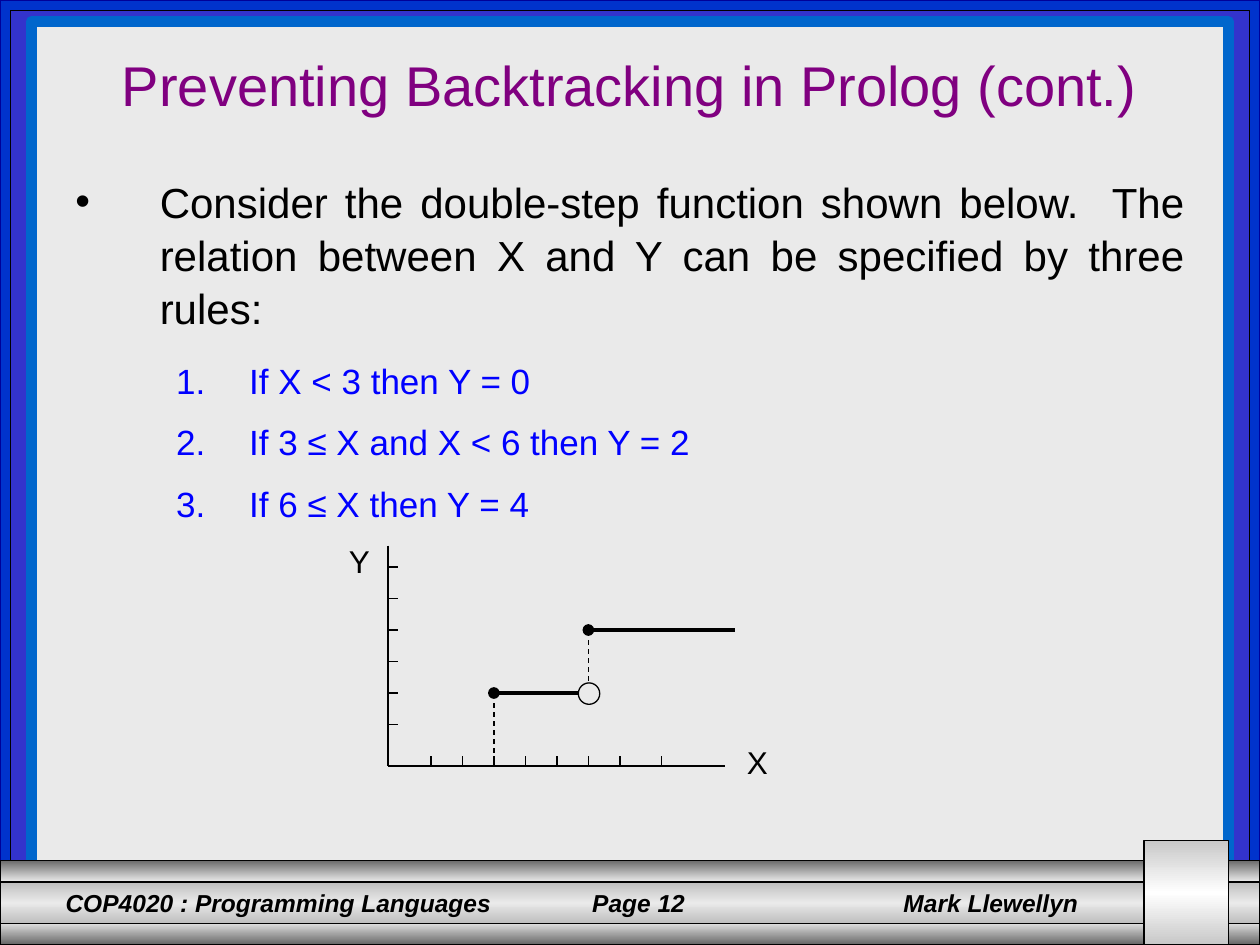
from lxml import etree
from pptx import Presentation
from pptx.dml.color import RGBColor
from pptx.enum.dml import MSO_LINE
from pptx.enum.shapes import MSO_CONNECTOR, MSO_SHAPE
from pptx.enum.text import MSO_ANCHOR, PP_ALIGN
from pptx.oxml.ns import qn
from pptx.util import Inches, Pt

RECT, OVAL = MSO_SHAPE.RECTANGLE, MSO_SHAPE.OVAL
STRAIGHT, DASH = MSO_CONNECTOR.STRAIGHT, MSO_LINE.DASH
LEFT, CENTER, JUSTIFY = PP_ALIGN.LEFT, PP_ALIGN.CENTER, PP_ALIGN.JUSTIFY
TOP, MIDDLE = MSO_ANCHOR.TOP, MSO_ANCHOR.MIDDLE
FONT = "Arial"
BLACK, BLUE, PURPLE = "000000", "0000FF", "800080"


def color(hex_value):
    return RGBColor.from_string(hex_value)


def child(parent, tag, **attributes):
    return etree.SubElement(parent, qn(tag), attributes)


def add_shape(slide, kind, box, fill=None, line=BLACK, width=0.75):
    """fill is None, one colour, or a list of colours running downwards."""
    shape = slide.shapes.add_shape(kind, *map(Inches, box))
    shape.shadow.inherit = False
    shape.line.color.rgb = color(line)
    shape.line.width = Pt(width)
    if fill is None:
        shape.fill.background()
    elif isinstance(fill, str):
        shape.fill.solid()
        shape.fill.fore_color.rgb = color(fill)
    else:
        shape.fill.gradient()
        shape.fill.gradient_angle = 270
        stops = shape.element.spPr.find(qn("a:gradFill")).find(qn("a:gsLst"))
        for stop in list(stops):
            stops.remove(stop)
        for i, shade in enumerate(fill):
            stop = child(stops, "a:gs", pos=str(100000 * i // (len(fill) - 1)))
            child(stop, "a:srgbClr", val=shade)
    return shape


def add_line(slide, x1, y1, x2, y2, width=0.75, dashed=False, dot=False):
    line = slide.shapes.add_connector(STRAIGHT, *map(Inches, (x1, y1, x2, y2)))
    line.line.color.rgb = color(BLACK)
    line.line.width = Pt(width)
    if dashed:
        line.line.dash_style = DASH
    if dot:
        child(line.line._get_or_add_ln(), "a:headEnd", type="oval")
    child(line.element.spPr, "a:effectLst")


def add_text_frame(slide, box, anchor=TOP, wrap=True):
    frame = slide.shapes.add_textbox(*map(Inches, box)).text_frame
    frame.word_wrap = wrap
    frame.vertical_anchor = anchor
    return frame


def write(paragraph, text, size, hex_value, align=CENTER, bold_italic=False):
    paragraph.alignment = align
    run = paragraph.add_run()
    run.text = text
    run.font.name = FONT
    run.font.size = Pt(size)
    run.font.color.rgb = color(hex_value)
    if bold_italic:
        run.font.bold = run.font.italic = True


def set_bullet(paragraph, margin, hanging, hex_value, number_style=None):
    properties = paragraph._p.get_or_add_pPr()
    properties.set("marL", str(Inches(margin)))
    properties.set("indent", str(-Inches(hanging)))
    child(child(properties, "a:buClr"), "a:srgbClr", val=hex_value)
    child(properties, "a:buFont", typeface=FONT)
    if number_style:
        child(properties, "a:buAutoNum", type=number_style)
    else:
        child(properties, "a:buChar", char="•")


def add_border(slide, box):
    left, top, width, height = box
    add_shape(slide, RECT, box, "0033CC", "000099")
    for side, above, outline, weight in ((0.08, 0.08, BLACK, 0.5),
                                         (0.25, 0.17, "0066CC", 6)):
        inner = (left + side, top + above, width - 2 * side, height - above)
        add_shape(slide, RECT, inner,
                  "3333CC" if outline == BLACK else "EAEAEA", outline, weight)


def add_footer(slide, box):
    left, top, width, height = box
    # Metal bands
    add_shape(slide, RECT, (left, top + 0.5, width, 0.17), ["DDDDDD", "656565"])
    add_shape(slide, RECT, (left, top, width, 0.17), ["6B6B6B", "EAEAEA"])
    add_shape(slide, RECT, (left, top + 0.17, width, 0.33),
              ["BDBDBD", "EAEAEA", "BDBDBD"])

    # Course, page and author on tab stops
    frame = add_text_frame(slide, (left, top + 0.17, 9.08, 0.34))
    frame.margin_left = Inches(0.52)
    paragraph = frame.paragraphs[0]
    tabs = child(paragraph._p.get_or_add_pPr(), "a:tabLst")
    for position in (4.18, 6.65):
        child(tabs, "a:tab", pos=str(Inches(position)), algn="l")
    write(paragraph, "COP4020 : Programming Languages\tPage 12\tMark Llewellyn",
          14, BLACK, LEFT, bold_italic=True)

    # Plate at the right
    add_shape(slide, RECT, (left + 9.08, top - 0.16, 0.67, height + 0.16),
              ["C8C8C8", "FFFFFF", "C8C8C8"])


def add_title(slide, box):
    paragraph = add_text_frame(slide, box).paragraphs[0]
    paragraph.line_spacing = 1.1
    write(paragraph, "Preventing Backtracking in Prolog (cont.)", 32, PURPLE)


def add_rules(slide, box):
    frame = add_text_frame(slide, box)
    intro = frame.paragraphs[0]
    set_bullet(intro, 0.67, 0.67, BLACK)
    intro.line_spacing = 1.05
    intro.space_after = Pt(9)
    write(intro, "Consider the double-step function shown below.  The relation "
          "between X and Y can be specified by three rules:", 24, BLACK, JUSTIFY)
    for rule in ("If X < 3 then Y = 0",
                 "If 3 ≤ X and X < 6 then Y = 2",
                 "If 6 ≤ X then Y = 4"):
        paragraph = frame.add_paragraph()
        paragraph.level = 1
        set_bullet(paragraph, 1.38, 0.58, BLUE, "arabicPeriod")
        paragraph.line_spacing = 1.05
        paragraph.space_before = paragraph.space_after = Pt(5)
        write(paragraph, rule, 20, BLUE, JUSTIFY)


def add_step_graph(slide, box):
    left, top, width, height = box
    axis_x, axis_y = left + 0.41, top + 1.75
    step, tick = 0.25, 0.08

    # Axes and ticks
    add_line(slide, axis_x, top, axis_x, axis_y)
    add_line(slide, axis_x, axis_y, axis_x + 2.67, axis_y)
    x_ticks = [axis_x + 0.34 + i * step for i in range(7)] + [axis_x + 2.17]
    y_ticks = [axis_y - 0.33 - i * step for i in range(6)]
    for x in x_ticks:
        add_line(slide, x, axis_y - tick, x, axis_y)
    for y in y_ticks:
        add_line(slide, axis_x, y, axis_x + tick, y)

    # Steps at X = 3 and X = 6
    x3, x6 = x_ticks[2], x_ticks[5]
    y2, y4 = y_ticks[1], y_ticks[3]
    add_line(slide, x3, y2, x6 - tick, y2, 2.25, dot=True)
    add_shape(slide, OVAL, (x6 - tick, y2 - tick, 0.17, 0.17))
    add_line(slide, x6, y4, x6 + 1.16, y4, 2.25, dot=True)
    add_line(slide, x3, y2 + tick, x3, axis_y - tick, dashed=True)
    add_line(slide, x6, y4 + tick, x6, y2 - tick, dashed=True)

    # Axis names
    label_width, label_height = 0.33, 0.25
    for name, x, y in (("Y", left, top),
                       ("X", left + width - label_width,
                        top + height - label_height)):
        frame = add_text_frame(slide, (x, y, label_width, label_height),
                               MIDDLE, wrap=False)
        write(frame.paragraphs[0], name, 18, BLACK)


def main():
    presentation = Presentation()
    presentation.slide_width = Inches(10)
    presentation.slide_height = Inches(7.5)
    slide = presentation.slides.add_slide(presentation.slide_layouts[6])
    add_border(slide, (0, 0, 10, 7))
    add_footer(slide, (0, 6.83, 10, 0.67))
    add_title(slide, (0.5, 0.3, 9, 0.78))
    add_rules(slide, (0.5, 1.33, 9, 4.95))
    add_step_graph(slide, (2.67, 4.33, 3.49, 1.84))
    presentation.save("out.pptx")


if __name__ == "__main__":
    main()
